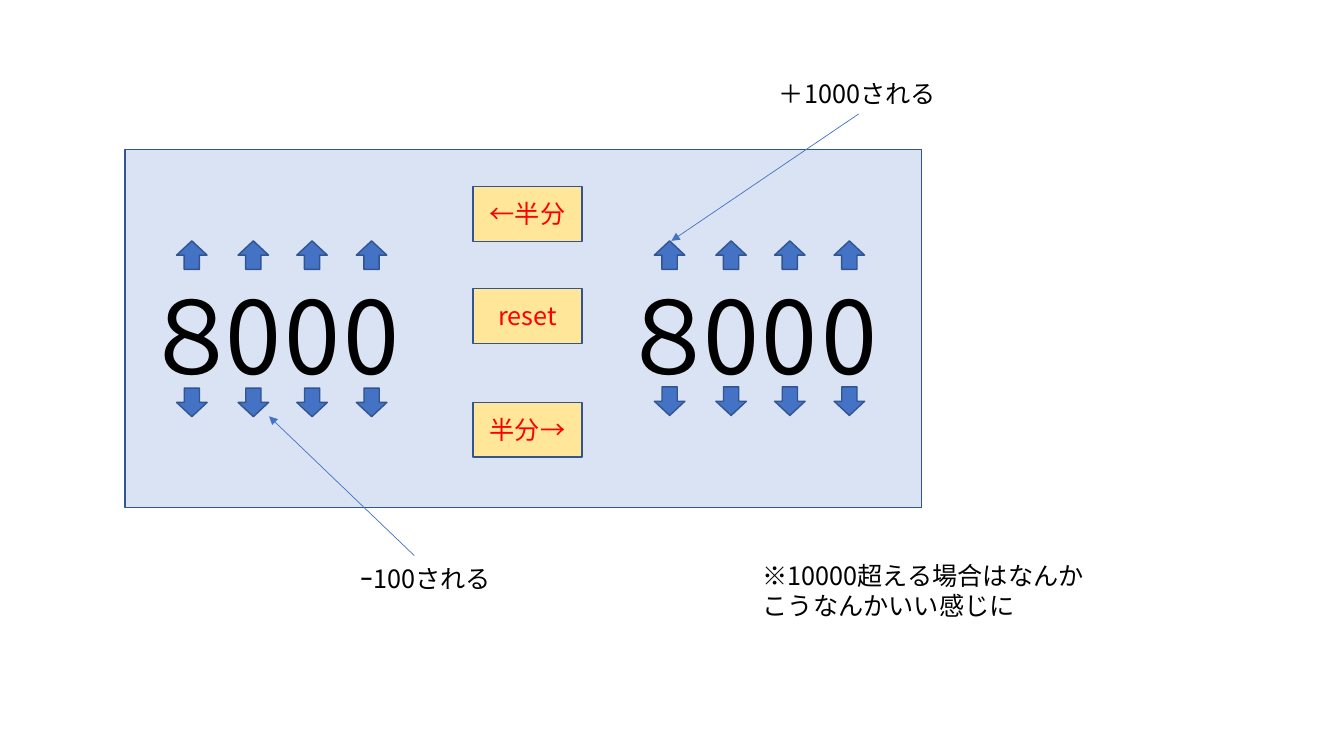
from dataclasses import dataclass

from lxml.etree import SubElement
from pptx import Presentation
from pptx.dml.color import RGBColor
from pptx.enum.shapes import MSO_CONNECTOR, MSO_SHAPE
from pptx.enum.text import MSO_ANCHOR, MSO_AUTO_SIZE, PP_ALIGN
from pptx.oxml.ns import qn
from pptx.util import Cm, Pt


@dataclass(frozen=True)
class Theme:
    font: str = "Noto Sans CJK JP"
    panel: str = "DAE3F3"
    button: str = "FFE699"
    arrow: str = "4472C4"
    outline: str = "325491"
    ink: str = "000000"
    alert: str = "FF0000"
    body_size: int = 18
    digit_size: int = 72
    outline_width: float = 1
    pointer_width: float = 0.5


class SlideBuilder:
    def __init__(self, page, theme):
        self.page = page
        self.theme = theme

    def style_para(self, para, text, size, color):
        para.text = text
        para.font.size = Pt(size)
        para.font.color.rgb = RGBColor.from_string(color)
        para.font.name = self.theme.font
        properties = para._p.pPr.find(qn("a:defRPr"))
        SubElement(properties, qn("a:ea"), typeface=self.theme.font)

    def shape(self, kind, left, top, width, height, fill):
        shape = self.page.shapes.add_shape(kind, Cm(left), Cm(top), Cm(width), Cm(height))
        shape.shadow.inherit = False
        shape.fill.solid()
        shape.fill.fore_color.rgb = RGBColor.from_string(fill)
        shape.line.color.rgb = RGBColor.from_string(self.theme.outline)
        shape.line.width = Pt(self.theme.outline_width)
        return shape

    def panel(self, left, top, width, height):
        self.shape(MSO_SHAPE.RECTANGLE, left, top, width, height, self.theme.panel)

    def button(self, text, left, top, width, height):
        button = self.shape(MSO_SHAPE.RECTANGLE, left, top, width, height, self.theme.button)
        button.text_frame.vertical_anchor = MSO_ANCHOR.MIDDLE
        para = button.text_frame.paragraphs[0]
        para.alignment = PP_ALIGN.CENTER
        self.style_para(para, text, self.theme.body_size, self.theme.alert)

    def step_arrow(self, left, top, rotation=0):
        arrow = self.shape(MSO_SHAPE.UP_ARROW, left, top, 0.77, 0.72, self.theme.arrow)
        arrow.rotation = rotation

    def text(self, lines, left, top, width, height, size, wrap=True):
        box = self.page.shapes.add_textbox(Cm(left), Cm(top), Cm(width), Cm(height))
        frame = box.text_frame
        frame.word_wrap = wrap
        frame.auto_size = MSO_AUTO_SIZE.SHAPE_TO_FIT_TEXT
        for index, line in enumerate(lines):
            para = frame.add_paragraph() if index else frame.paragraphs[0]
            self.style_para(para, line, size, self.theme.ink)

    def label(self, lines, left, top, width, height):
        self.text(lines, left, top, width, height, self.theme.body_size)

    def digit(self, text, left, top, width):
        self.text([text], left, top, width, 3.33, self.theme.digit_size, wrap=False)

    def pointer(self, start, end):
        line = self.page.shapes.add_connector(
            MSO_CONNECTOR.STRAIGHT, *(Cm(length) for length in (*start, *end))
        )
        line.line.color.rgb = RGBColor.from_string(self.theme.arrow)
        line.line.width = Pt(self.theme.pointer_width)
        SubElement(line.line._get_or_add_ln(), qn("a:tailEnd"), type="triangle")
        SubElement(line._element.spPr, qn("a:effectLst"))

    def counter(self, left, down_top):
        columns = (
            ("８", 0, 3.07, 1.14),
            ("0", 2.12, 1.93, 2.69),
            ("0", 3.6, 1.93, 4.17),
            ("0", 5.11, 1.93, 5.67),
        )
        for text, offset, width, arrow_offset in columns:
            self.digit(text, left + offset, 6.78, width)
            self.step_arrow(left + arrow_offset, 6.07)
            self.step_arrow(left + arrow_offset, down_top, rotation=180)


deck = Presentation()
deck.slide_width = Cm(33.87)
deck.slide_height = Cm(19.05)
builder = SlideBuilder(deck.slides.add_slide(deck.slide_layouts[6]), Theme())

builder.panel(3.15, 3.77, 20.07, 9.02)
for counter_left, down_top in ((3.31, 9.78), (15.35, 9.75)):
    builder.counter(counter_left, down_top)
for text, top in (("←半分", 4.7), ("reset", 7.27), ("半分→", 10.14)):
    builder.button(text, 11.92, top, 2.75, 1.38)

builder.pointer((21.64, 2.87), (16.92, 6.07))
builder.label(["＋1000される"], 19.38, 1.85, 4.5, 1.03)
builder.pointer((10.44, 14), (6.78, 10.49))
builder.label(["ｰ100される"], 8.84, 14.07, 3.84, 1.03)
builder.label(["※10000超える場合はなんか", "こうなんかいい感じに"], 18.97, 14, 12.24, 1.8)

deck.save("out.pptx")
